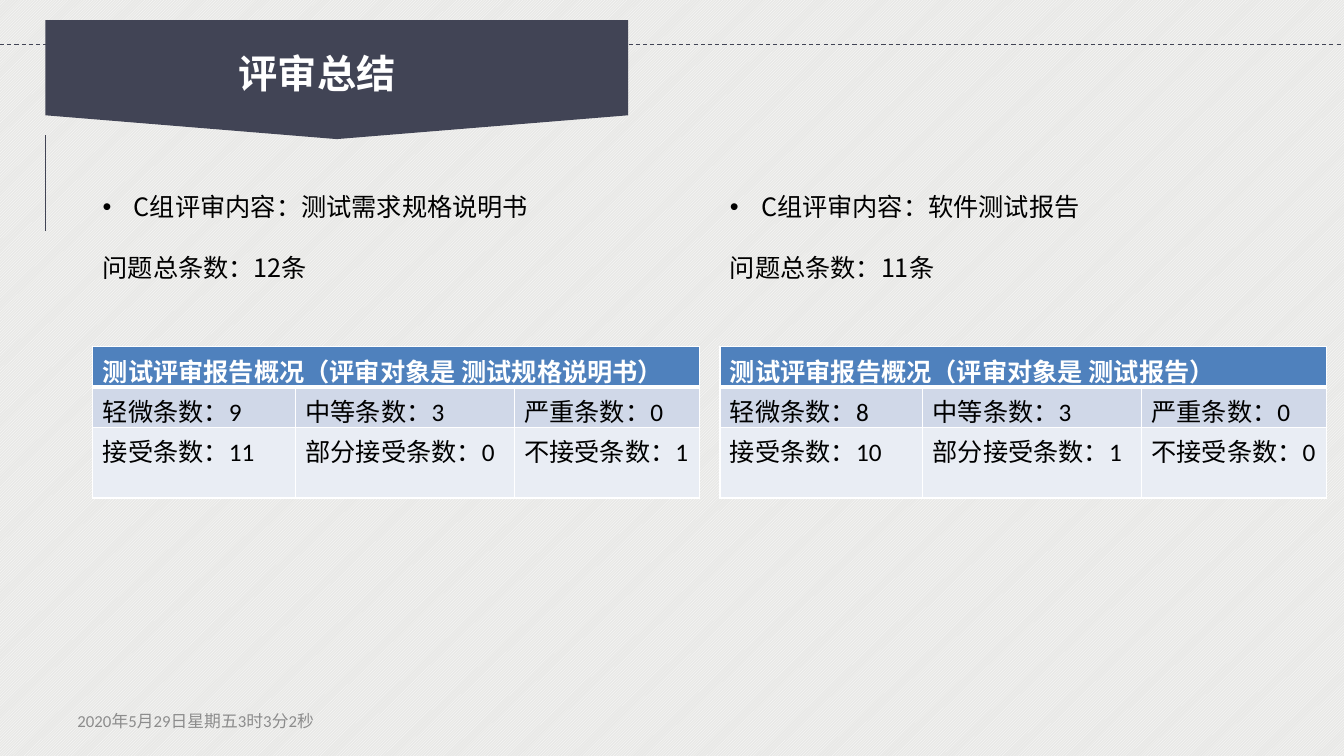
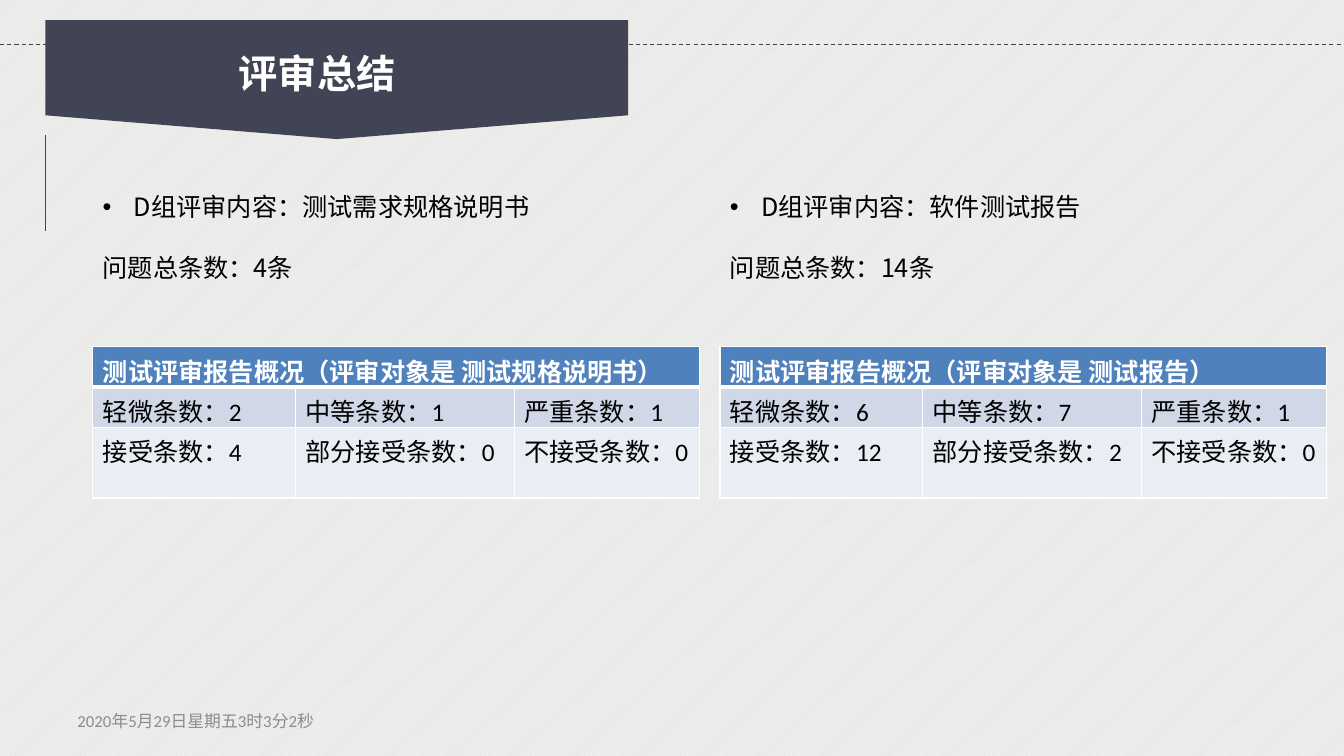
from lxml import etree
from pptx import Presentation
from pptx.dml.color import RGBColor
from pptx.enum import dml, shapes, text
from pptx.oxml import ns
from pptx.util import Inches, Pt

INK = RGBColor(0x41, 0x44, 0x55)
WHITE = RGBColor(0xFF, 0xFF, 0xFF)
BLACK = RGBColor(0, 0, 0)
GREY = RGBColor(0x8C, 0x8C, 0x8C)
PAPER = RGBColor(0xE8, 0xE8, 0xE6)
ROW_FILLS = [RGBColor(0x4F, 0x81, 0xBD), RGBColor(0xD0, 0xD8, 0xE8), RGBColor(0xE9, 0xED, 0xF4)]

LATIN, CJK = "Calibri", "Noto Sans CJK SC"
SLIDE_WIDTH, SLIDE_HEIGHT = 13.33, 7.5
COLUMN_LEFTS = [0.92, 7.14]
TABLE_COLUMNS = [2.01, 2.17, 1.84]
TABLE_ROWS = [0.33, 0.34, 0.38]
LABELS = [["轻微条数", "中等条数", "严重条数"], ["接受条数", "部分接受条数", "不接受条数"]]

# Each review: document, name in the table header, total, counts by row
REVIEWS = {
    "C": [("测试需求规格说明书", "测试规格说明书", 12, [[9, 3, 0], [11, 0, 1]]),
          ("软件测试报告", "测试报告", 11, [[8, 3, 0], [10, 1, 0]])],
    "D": [("测试需求规格说明书", "测试规格说明书", 4, [[2, 1, 1], [4, 0, 0]]),
          ("软件测试报告", "测试报告", 14, [[6, 7, 1], [12, 2, 0]])],
}


def add_xml(parent, tag, **attributes):
    return etree.SubElement(parent, ns.qn(tag), **attributes)


class Deck:
    def __init__(self):
        self.presentation = Presentation()
        self.presentation.slide_width = Inches(SLIDE_WIDTH)
        self.presentation.slide_height = Inches(SLIDE_HEIGHT)
        self.slide = None

    def new_slide(self, title, date):
        self.slide = self.presentation.slides.add_slide(self.presentation.slide_layouts[6])
        fill = self.slide.background.fill
        fill.patterned()
        fill.pattern = dml.MSO_PATTERN.LIGHT_UPWARD_DIAGONAL
        fill.fore_color.rgb, fill.back_color.rgb = WHITE, PAPER
        # Title band and rules
        self.line(0, 0.44, SLIDE_WIDTH, 0.44, dashed=True)
        self.band(0.45, 0.2, 5.78, 1.18)
        self.text(2.26, 0.44, 1.77, 0.57, [title], 28, WHITE, bold=True, wrap=False,
                  align=text.PP_ALIGN.CENTER)
        self.line(0.45, 1.34, 0.45, 2.29)
        # Footer
        self.text(0.67, 6.95, 3.11, 0.4, [date], 12, GREY, font=LATIN, grow=False,
                  anchor=text.MSO_ANCHOR.MIDDLE)

    def line(self, x1, y1, x2, y2, dashed=False):
        connector = self.slide.shapes.add_connector(
            shapes.MSO_CONNECTOR.STRAIGHT, Inches(x1), Inches(y1), Inches(x2), Inches(y2))
        connector.line.color.rgb = INK
        connector.line.width = Pt(0.75)
        if dashed:
            connector.line.dash_style = dml.MSO_LINE.DASH
        add_xml(connector._element.spPr, "a:effectLst")

    def band(self, left, top, width, height):
        shape = self.slide.shapes.add_shape(
            shapes.MSO_SHAPE.FLOWCHART_OFFPAGE_CONNECTOR,
            Inches(left), Inches(top), Inches(width), Inches(height))
        shape.shadow.inherit = False
        shape.fill.solid()
        shape.fill.fore_color.rgb = INK
        shape.line.fill.background()

    def style(self, paragraph, size, color, font, bold=False):
        paragraph.font.size = Pt(size)
        paragraph.font.color.rgb = color
        paragraph.font.bold = bold
        paragraph.font.name = font
        add_xml(paragraph.font._element, "a:ea", typeface=CJK)

    def text(self, left, top, width, height, lines, size, color, font=CJK, bold=False,
             wrap=True, grow=True, align=None, anchor=text.MSO_ANCHOR.TOP,
             spacing=None, bulleted=False):
        box = self.slide.shapes.add_textbox(
            Inches(left), Inches(top), Inches(width), Inches(height))
        frame = box.text_frame
        frame.word_wrap = wrap
        frame.vertical_anchor = anchor
        frame.auto_size = (text.MSO_AUTO_SIZE.SHAPE_TO_FIT_TEXT if grow
                           else text.MSO_AUTO_SIZE.NONE)
        for index, line in enumerate(lines):
            paragraph = frame.paragraphs[0] if index == 0 else frame.add_paragraph()
            paragraph.text = line
            paragraph.alignment = align
            paragraph.line_spacing = spacing
            if bulleted and index == 0:
                self.bullet(paragraph)
            self.style(paragraph, size, color, font, bold)

    def bullet(self, paragraph):
        properties = paragraph._p.get_or_add_pPr()
        properties.set("marL", str(Inches(0.31)))
        properties.set("indent", str(-Inches(0.31)))
        add_xml(properties, "a:buFont", typeface="Arial")
        add_xml(properties, "a:buChar", char="•")

    def borders(self, cell, top, bottom):
        properties = cell._tc.get_or_add_tcPr()
        widths = {"a:lnL": 1, "a:lnR": 1, "a:lnT": top, "a:lnB": bottom}
        for index, (tag, width) in enumerate(widths.items()):
            border = add_xml(properties, tag, w=str(Pt(width)))
            add_xml(add_xml(border, "a:solidFill"), "a:srgbClr", val=str(WHITE))
            properties.insert(index, border)

    def table(self, left, top, rows):
        table = self.slide.shapes.add_table(
            len(TABLE_ROWS), len(TABLE_COLUMNS), Inches(left), Inches(top),
            Inches(sum(TABLE_COLUMNS)), Inches(sum(TABLE_ROWS))).table
        for column, width in zip(table.columns, TABLE_COLUMNS):
            column.width = Inches(width)
        for row, height in zip(table.rows, TABLE_ROWS):
            row.height = Inches(height)
        table.cell(0, 0).merge(table.cell(0, len(TABLE_COLUMNS) - 1))
        for r, row in enumerate(table.rows):
            header = r == 0
            for c, cell in enumerate(row.cells):
                cell.fill.solid()
                cell.fill.fore_color.rgb = ROW_FILLS[r]
                self.borders(cell, top=3 if r == 1 else 1, bottom=3 if header else 1)
                if c < len(rows[r]):
                    cell.text = rows[r][c]
                    self.style(cell.text_frame.paragraphs[0], 18,
                               WHITE if header else BLACK, LATIN, bold=header)

    def review(self, left, group, document, subject, total, counts):
        rows = [[f"测试评审报告概况（评审对象是 {subject}）"]]
        for labels, values in zip(LABELS, counts):
            rows.append([f"{label}：{value}" for label, value in zip(labels, values)])
        self.table(left, 3.44, rows)
        self.text(left, 1.55, 6.66, 1.22,
                  [f"{group}组评审内容：{document}", f"问题总条数：{total}条"],
                  18, BLACK, spacing=2.0, bulleted=True)


def main():
    deck = Deck()
    for group, reviews in REVIEWS.items():
        deck.new_slide("评审总结", "2020年5月29日星期五3时3分2秒")
        for left, review in zip(COLUMN_LEFTS, reviews):
            deck.review(left, group, *review)
    deck.presentation.save("out.pptx")


if __name__ == "__main__":
    main()
